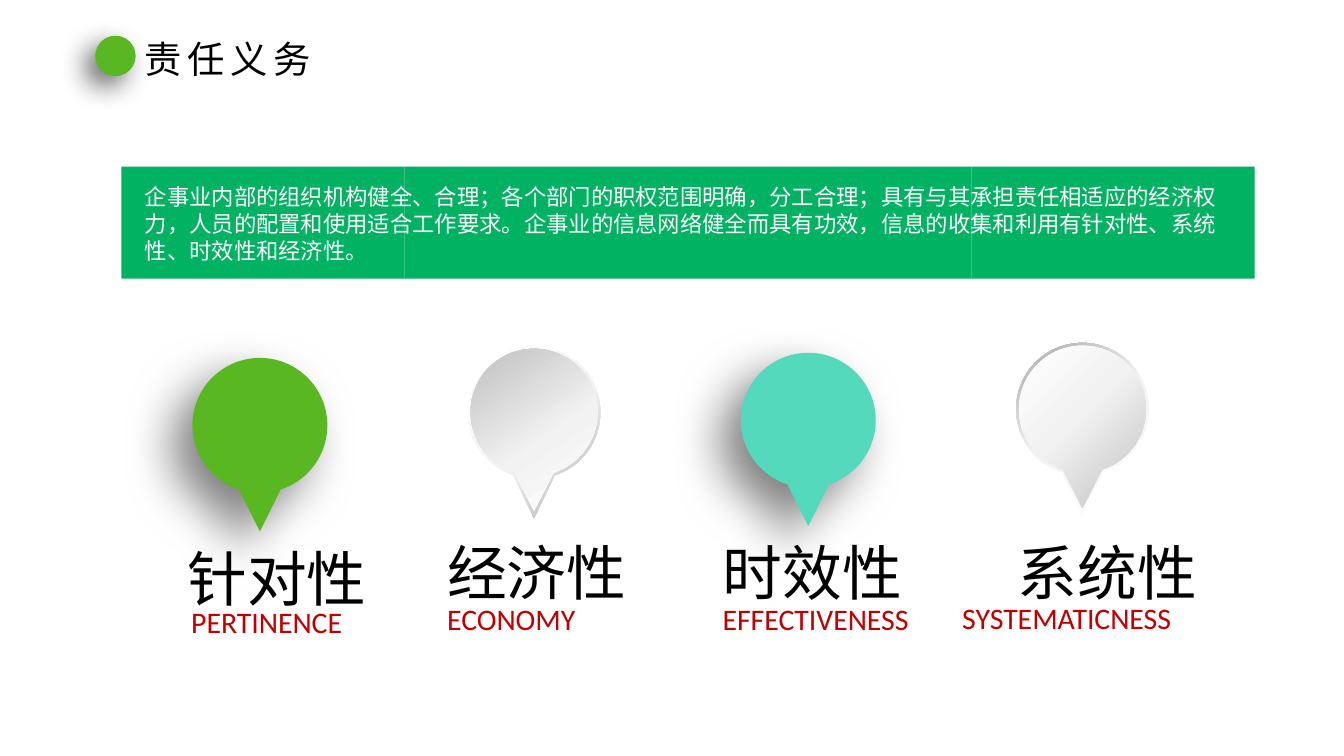
from copy import deepcopy
from math import cos, radians, sin, tan

from lxml.etree import SubElement
from pptx import Presentation
from pptx.dml.color import RGBColor
from pptx.enum.shapes import MSO_SHAPE as Preset
from pptx.enum.text import MSO_AUTO_SIZE as AutoSize
from pptx.oxml.ns import qn
from pptx.util import Cm, Pt

COLORS = {
    "banner": "01B262", "green": "59B721", "mint": "54D9BC", "red": "C00000",
    "black": "000000", "white": "FFFFFF", "pale": "F2F2F2",
    "rim": "A6A6A6", "silver": "BFBFBF",
}
CHINESE, LATIN = "Noto Sans CJK SC", "Calibri"
LINE_HEIGHT = 1.22
NECK_ANGLE = 18  # half the opening between a pin's head and its tip


def color(name):
    return RGBColor.from_string(COLORS[name])


def write_text(paragraph, text, size, font=CHINESE, ink="black", spacing=0):
    paragraph.line_spacing = Pt(round(size * LINE_HEIGHT, 1))
    run = paragraph.add_run()
    run.text = text
    run.font.size = Pt(size)
    run.font.name = font
    run.font.color.rgb = color(ink)
    properties = run.font._element
    SubElement(properties, qn("a:ea"), typeface=font)
    if spacing:
        properties.set("spc", str(spacing * 100))


class SlideBuilder:
    def __init__(self, slide):
        self.slide = slide

    def group(self):
        return self.slide.shapes.add_group_shape().shapes

    def style(self, shape, fill, shadow=None):
        """fill is a colour name, or (middle colour position, end colour, angle)."""
        shape.line.fill.background()
        if isinstance(fill, str):
            shape.fill.solid()
            shape.fill.fore_color.rgb = color(fill)
        else:
            self.gradient(shape, *fill)
        shape.shadow.inherit = False
        if shadow:
            opacity, blur, distance = shadow
            effects = shape.element.spPr.find(qn("a:effectLst"))
            outer = SubElement(effects, qn("a:outerShdw"), blurRad=str(Pt(blur)),
                               dist=str(Pt(distance)), dir=str(135 * 60000),
                               algn="ctr", rotWithShape="0")
            tint = SubElement(outer, qn("a:srgbClr"), val=COLORS["black"])
            SubElement(tint, qn("a:alpha"), val=str(opacity * 1000))

    def gradient(self, shape, middle, end, angle):
        shape.fill.gradient()
        shape.fill.gradient_angle = 360 - angle
        stop_list = next(shape.element.iter(qn("a:gsLst")))
        stop_list.insert(1, deepcopy(stop_list[0]))
        stops = [(0, "white"), (middle, "pale"), (1, end)]
        for stop, (position, name) in zip(shape.fill.gradient_stops, stops):
            stop.position = position
            stop.color.rgb = color(name)

    def preset(self, shapes, kind, left, top, width, height, fill, shadow=None):
        shape = shapes.add_shape(kind, Cm(left), Cm(top), Cm(width), Cm(height))
        self.style(shape, fill, shadow)

    def text(self, lines, left, top, width, height, size, **text_format):
        box = self.slide.shapes.add_textbox(Cm(left), Cm(top), Cm(width), Cm(height))
        frame = box.text_frame
        frame.word_wrap = False
        frame.auto_size = AutoSize.SHAPE_TO_FIT_TEXT
        for index, line in enumerate(lines):
            paragraph = frame.add_paragraph() if index else frame.paragraphs[0]
            write_text(paragraph, line, size, **text_format)

    def pin(self, shapes, x, y, radius, drop, fill, shadow=None):
        """Round head centred on (x, y), with its tip drop below the centre."""
        x, y, radius = Cm(x), Cm(y), Cm(radius)
        angles = [90 + NECK_ANGLE, 180, 270, 360, 450 - NECK_ANGLE]
        points = [(x + round(radius * cos(radians(a))), y + round(radius * sin(radians(a))))
                  for a in angles]
        builder = shapes.build_freeform(x, y + Cm(drop))
        builder.add_line_segments(points, close=True)
        shape = builder.convert_to_shape()

        # Turn the chords of the head into arcs
        chords = list(shape.element.iter(qn("a:lnTo")))[1:]
        for chord, first, last in zip(chords, angles, angles[1:]):
            first, last = radians(first), radians(last)
            reach = 4 / 3 * tan((last - first) / 4)
            chord.tag = qn("a:cubicBezTo")
            for index, (angle, pull) in enumerate([(first, reach), (last, -reach)]):
                control = deepcopy(chord[-1])
                control.set("x", str(round(radius * (1 + cos(angle) - pull * sin(angle)))))
                control.set("y", str(round(radius * (1 + sin(angle) + pull * cos(angle)))))
                chord.insert(index, control)
        self.style(shape, fill, shadow)

    def solid_pin(self, x, y, fill):
        self.pin(self.slide.shapes, x, y, 1.7, 2.67, fill, shadow=(50, 35, 20))

    def rimmed_pin(self, x, y, rim_angle, face_middle, face_angle):
        shapes = self.group()
        self.pin(shapes, x, y, 1.67, 2.67, (0.55, "rim", rim_angle))
        self.pin(shapes, x, y, 1.6, 2.49, (face_middle, "silver", face_angle))


def main():
    presentation = Presentation()
    presentation.slide_width, presentation.slide_height = Cm(33.87), Cm(19.05)
    builder = SlideBuilder(presentation.slides.add_slide(presentation.slide_layouts[6]))

    # Banner of four panels
    panels = builder.group()
    for column in range(4):
        builder.preset(panels, Preset.RECTANGLE, 3.06 + 7.14 * column, 4.2,
                       7.14, 2.82, "banner")

    # Heading
    builder.preset(builder.slide.shapes, Preset.OVAL, 2.4, 0.9, 1.02, 1.02, "green",
                   shadow=(60, 20, 10))
    builder.text(["责任义务"], 3.38, 0.76, 4.88, 1.4, 26.7, spacing=4)

    # Banner text
    builder.text([
        "企事业内部的组织机构健全、合理；各个部门的职权范围明确，分工合理；具有与其承担责任相适应的经济权",
        "力，人员的配置和使用适合工作要求。企事业的信息网络健全而具有功效，信息的收集和利用有针对性、系统",
        "性、时效性和经济性。",
    ], 3.4, 4.47, 27.86, 2.31, 16, ink="white")

    # Pins
    first_x, step = 6.55, 6.91
    builder.solid_pin(first_x, 10.72, "green")
    builder.rimmed_pin(first_x + step, 10.39, 45, 0.43, 235)
    builder.solid_pin(first_x + 2 * step, 10.59, "mint")
    builder.rimmed_pin(first_x + 3 * step, 10.31, 235, 0.45, 45)

    # Captions: name, left, top, then the English word, left, top, width
    captions = [
        ("针对性", 4.47, 13.49, "PERTINENCE", 4.57, 15.06, 4.85),
        ("经济性", 11.02, 13.34, "ECONOMY", 11.02, 14.99, 4.04),
        ("时效性", 17.96, 13.34, "EFFECTIVENESS", 17.96, 14.99, 6.1),
        ("系统性", 25.4, 13.34, "SYSTEMATICNESS", 24.0, 14.96, 6.78),
    ]
    for name, left, top, word, word_left, word_top, word_width in captions:
        builder.text([name], left, top, 5.08, 2.08, 42.7)
        builder.text([word], word_left, word_top, word_width, 1.17, 21.3,
                     font=LATIN, ink="red")

    presentation.save("out.pptx")


if __name__ == "__main__":
    main()
